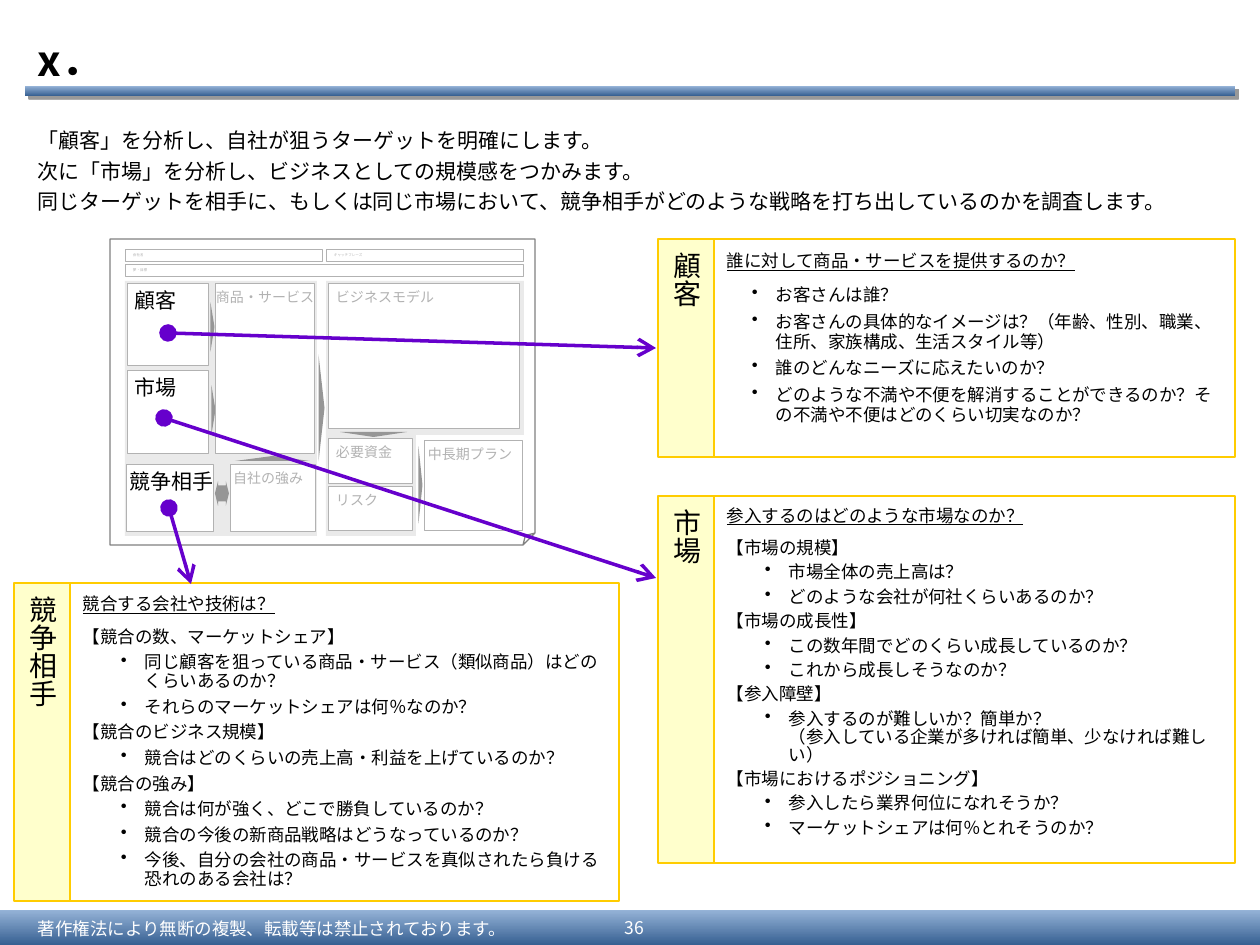
import pptx
import pptx.dml.color
import pptx.enum.shapes
import pptx.enum.text
import pptx.oxml.ns
import pptx.util
from lxml import etree

SHAPE = pptx.enum.shapes.MSO_SHAPE
ALIGN = pptx.enum.text.PP_ALIGN
ANCHOR = pptx.enum.text.MSO_ANCHOR
qn = pptx.oxml.ns.qn
Pt = pptx.util.Pt

class Theme:
    font, label_font = "Noto Sans CJK JP", "Calibri"
    black, white = "000000", "FFFFFF"
    bar_dark, bar_light = "376092", "95B3D7"
    gold, cream, arrow = "FFCC00", "FFFFCC", "6600CC"
    back, border, marker, page = "EAEAEA", "B2B2B2", "969696", "808080"
    title, tab, intro, body, label, tiny = 24, 16, 12, 10, 8, 2
    leading = 1.2  # line pitch per point of type

# Content: positions are (left, top, width, height) in px
TITLE = "x．"
INTRO = [
    "「顧客」を分析し、自社が狙うターゲットを明確にします。",
    "次に「市場」を分析し、ビジネスとしての規模感をつかみます。",
    "同じターゲットを相手に、もしくは同じ市場において、競争相手がどのような戦略を打ち出しているのかを調査します。",
]
FOOTER = "著作権法により無断の複製、転載等は禁止されております。"
PAGE_NUMBER = "36"

# Lines that start with 【 are section headings, the others are bullets
CARDS = [
    dict(name="顧客", box=(658, 239, 577, 218), spacing=0.95, indent=49,
         question="誰に対して商品・サービスを提供するのか？", lines=[
             "お客さんは誰？",
             "お客さんの具体的なイメージは？（年齢、性別、職業、住所、家族構成、生活スタイル等）",
             "誰のどんなニーズに応えたいのか？",
             "どのような不満や不便を解消することができるのか？その不満や不便はどのくらい切実なのか？"]),
    dict(name="市場", box=(658, 496, 577, 367), spacing=0.85, indent=62,
         question="参入するのはどのような市場なのか？", lines=[
             "【市場の規模】", "市場全体の売上高は？", "どのような会社が何社くらいあるのか？",
             "【市場の成長性】", "この数年間でどのくらい成長しているのか？", "これから成長しそうなのか？",
             "【参入障壁】",
             "参入するのが難しいか？簡単か？\n（参入している企業が多ければ簡単、少なければ難しい）",
             "【市場におけるポジショニング】", "参入したら業界何位になれそうか？",
             "マーケットシェアは何％とれそうのか？"]),
    dict(name="競争相手", box=(14, 583, 605, 318), spacing=0.9, indent=62,
         question="競合する会社や技術は？", lines=[
             "【競合の数、マーケットシェア】",
             "同じ顧客を狙っている商品・サービス（類似商品）はどのくらいあるのか？",
             "それらのマーケットシェアは何％なのか？",
             "【競合のビジネス規模】", "競合はどのくらいの売上高・利益を上げているのか？",
             "【競合の強み】", "競合は何が強く、どこで勝負しているのか？",
             "競合の今後の新商品戦略はどうなっているのか？",
             "今後、自分の会社の商品・サービスを真似されたら負ける恐れのある会社は？"]),
]
TAB_WIDTH = 56

BACKS = [(326, 383, 90, 153), (326, 281, 198, 154), (125, 281, 192, 255)]
TINY_PANELS = [("会社名", (125, 249, 198, 13)), ("キャッチフレーズ", (326, 249, 197, 13)),
               ("夢・目標", (125, 264, 398, 13))]
# (text, box, left inset)
GREY_PANELS = [
    ("ビジネスモデル", (328, 283, 192, 145), 8), ("必要資金", (328, 438, 85, 45), 8),
    ("中長期プラン", (425, 440, 98, 91), 3), ("リスク", (328, 486, 85, 45), 8),
    ("商品・サービス", (216, 283, 99, 170), 0), ("自社の強み", (230, 464, 85, 67), 3)]
FOCUS_PANELS = [("顧客", (127, 283, 81, 83), 8), ("市場", (127, 370, 81, 83), 8),
                ("競争相手", (127, 464, 87, 67), 3)]
# (box, rotation)
TRIANGLES = [((188, 325, 49, 4), 90), ((189, 408, 49, 4), 90), ((235, 456, 75, 5), 0),
             ((268, 405, 107, 6), 90), ((340, 432, 67, 5), 180), ((382, 483, 77, 4), 90)]
ARROWS = [((168, 333), (656, 348)), ((164, 418), (656, 578)), ((169, 508), (191, 584))]

def px(value):
    return round(value * 914400 / 126)

def rgb(value):
    return pptx.dml.color.RGBColor.from_string(value)

def add_box(box, fill=None, line=None, width=0.5, kind=SHAPE.RECTANGLE):
    shape = slide.shapes.add_shape(kind, *map(px, box))
    shape.shadow.inherit = False
    shape.fill.background()
    shape.line.fill.background()
    if fill:
        shape.fill.solid()
        shape.fill.fore_color.rgb = rgb(fill)
    if line:
        shape.line.color.rgb = rgb(line)
        shape.line.width = Pt(width)
    return shape

def add_bar(box):
    shape = add_box(box)
    shape.fill.gradient()
    shape.fill.gradient_angle = 90
    for stop, color in zip(shape.fill.gradient_stops, (Theme.bar_dark, Theme.bar_light)):
        stop.color.rgb = rgb(color)
    return shape

def set_frame(shape, insets, anchor=ANCHOR.TOP, wrap=True):
    frame = shape.text_frame
    frame.auto_size = pptx.enum.text.MSO_AUTO_SIZE.NONE
    frame.word_wrap, frame.vertical_anchor = wrap, anchor
    (frame.margin_left, frame.margin_top,
     frame.margin_right, frame.margin_bottom) = map(px, insets)
    return frame

def set_bullet(paragraph, indent=0, hanging=0):
    properties = paragraph._p.get_or_add_pPr()
    properties.set("marL", str(px(indent)))
    properties.set("indent", str(-px(hanging)))
    if hanging:
        etree.SubElement(properties, qn("a:buChar"), char="•")
    else:
        etree.SubElement(properties, qn("a:buNone"))

def write(frame, texts, size, color=Theme.black, font=Theme.font, spacing=1.0,
          before=0, after=0, align=ALIGN.LEFT, bullets=(), indent=0):
    for index, text in enumerate(texts):
        paragraph = frame.paragraphs[0] if index == 0 else frame.add_paragraph()
        paragraph.text = text
        paragraph.alignment = align
        paragraph.line_spacing = Pt(round(size * Theme.leading * spacing, 1))
        paragraph.space_before = Pt(before if index else 0)
        paragraph.space_after = Pt(after)
        set_bullet(paragraph, *((indent, 24) if text in bullets else ()))
        paragraph.font.size = Pt(size)
        paragraph.font.name = font
        paragraph.font.color.rgb = rgb(color)
        if font == Theme.font:
            properties = paragraph._p.pPr.find(qn("a:defRPr"))
            etree.SubElement(properties, qn("a:ea"), typeface=font)

def add_label(box, text, size, color, inset, wrap=True, anchor=ANCHOR.TOP, top=6):
    shape = add_box(box, Theme.white, Theme.border)
    frame = set_frame(shape, (inset, top, inset, top), anchor, wrap)
    write(frame, [text], size, color, Theme.label_font, 0.95)

def add_card(name, box, spacing, indent, question, lines):
    left, top, width, height = box
    body = add_box((left + TAB_WIDTH, top, width - TAB_WIDTH, height), Theme.white, Theme.gold, 1.25)
    frame = set_frame(body, (13, 12, 13, 6))
    bullets = [text for text in lines if not text.startswith("【")]
    write(frame, [question, *lines], Theme.body, spacing=spacing, before=1.9, after=1.9,
          bullets=bullets, indent=indent)
    frame.paragraphs[0].font.underline = True
    frame.paragraphs[1].space_before = Pt(6.2)
    tab = add_box((left, top, TAB_WIDTH, height), Theme.cream, Theme.gold, 1.25)
    frame = set_frame(tab, (6, 13, 6, 13), ANCHOR.MIDDLE)
    frame._txBody.bodyPr.set("vert", "eaVert")
    write(frame, [name], Theme.tab, align=ALIGN.CENTER)

def add_arrow(start, end):
    connector = slide.shapes.add_connector(
        pptx.enum.shapes.MSO_CONNECTOR.STRAIGHT, *map(px, start + end))
    connector.line.color.rgb = rgb(Theme.arrow)
    connector.line.width = Pt(2)
    properties = connector._element.spPr
    for tag, kind in (("a:headEnd", "oval"), ("a:tailEnd", "arrow")):
        etree.SubElement(properties.find(qn("a:ln")), qn(tag), type=kind, w="lg", len="lg")
    etree.SubElement(properties, qn("a:effectLst"))

presentation = pptx.Presentation()
presentation.slide_width, presentation.slide_height = px(1260), px(945)
slide = presentation.slides.add_slide(presentation.slide_layouts[1])

# Bars and footer
add_bar((0, 910, 1260, 35))
rule = add_bar((25, 86, 1210, 10))
shadow = etree.SubElement(rule._element.spPr.find(qn("a:effectLst")), qn("a:outerShdw"),
                          dist=str(int(Pt(3))), dir="2700000", algn="tl", rotWithShape="0")
shadow_color = etree.SubElement(shadow, qn("a:srgbClr"), val=Theme.black)
etree.SubElement(shadow_color, qn("a:alpha"), val="40000")
for text, box, align in ((FOOTER, (25, 913, 536, 32), ALIGN.LEFT),
                         (PAGE_NUMBER, (600, 911, 69, 34), ALIGN.CENTER)):
    frame = set_frame(slide.shapes.add_textbox(*map(px, box)), (13, 5, 13, 5), ANCHOR.MIDDLE)
    write(frame, [text], Theme.body, Theme.white, align=align)

# Title and introduction
title, intro = slide.placeholders
for shape, box in ((title, (25, 26, 1235, 68)), (intro, (25, 120, 1230, 105))):
    shape.left, shape.top, shape.width, shape.height = map(px, box)
write(set_frame(title, (13, 6, 13, 6), ANCHOR.MIDDLE), [TITLE], Theme.title)
title.text_frame.paragraphs[0].font.bold = True
write(set_frame(intro, (13, 8, 13, 6)), INTRO, Theme.intro, before=3)

# Business plan sheet
for box in BACKS:
    add_box(box, Theme.back)
for box, rotation in TRIANGLES:
    add_box(box, Theme.marker, kind=SHAPE.ISOSCELES_TRIANGLE).rotation = rotation
double_arrow = add_box((215, 481, 14, 25), Theme.marker, kind=SHAPE.LEFT_RIGHT_ARROW)
double_arrow.adjustments[0], double_arrow.adjustments[1] = 0.64, 0.22
for text, box in TINY_PANELS:
    add_label(box, text, Theme.tiny, Theme.border, 8, anchor=ANCHOR.MIDDLE, top=4)
for text, box, inset in GREY_PANELS:
    add_label(box, text, Theme.label, Theme.border, inset)
for text, box, inset in FOCUS_PANELS:
    add_label(box, text, Theme.intro, Theme.black, inset, wrap=len(text) < 4)
sheet = add_box((110, 239, 425, 306), line=Theme.page, width=0.75, kind=SHAPE.FOLDED_CORNER)
corner = sheet._element.spPr.find(qn("a:prstGeom")).find(qn("a:avLst"))
etree.SubElement(corner, qn("a:gd"), name="adj", fmla="val 3900")

# Question cards and the arrows that lead to them
for card in CARDS:
    add_card(**card)
for start, end in ARROWS:
    add_arrow(start, end)

presentation.save("out.pptx")
